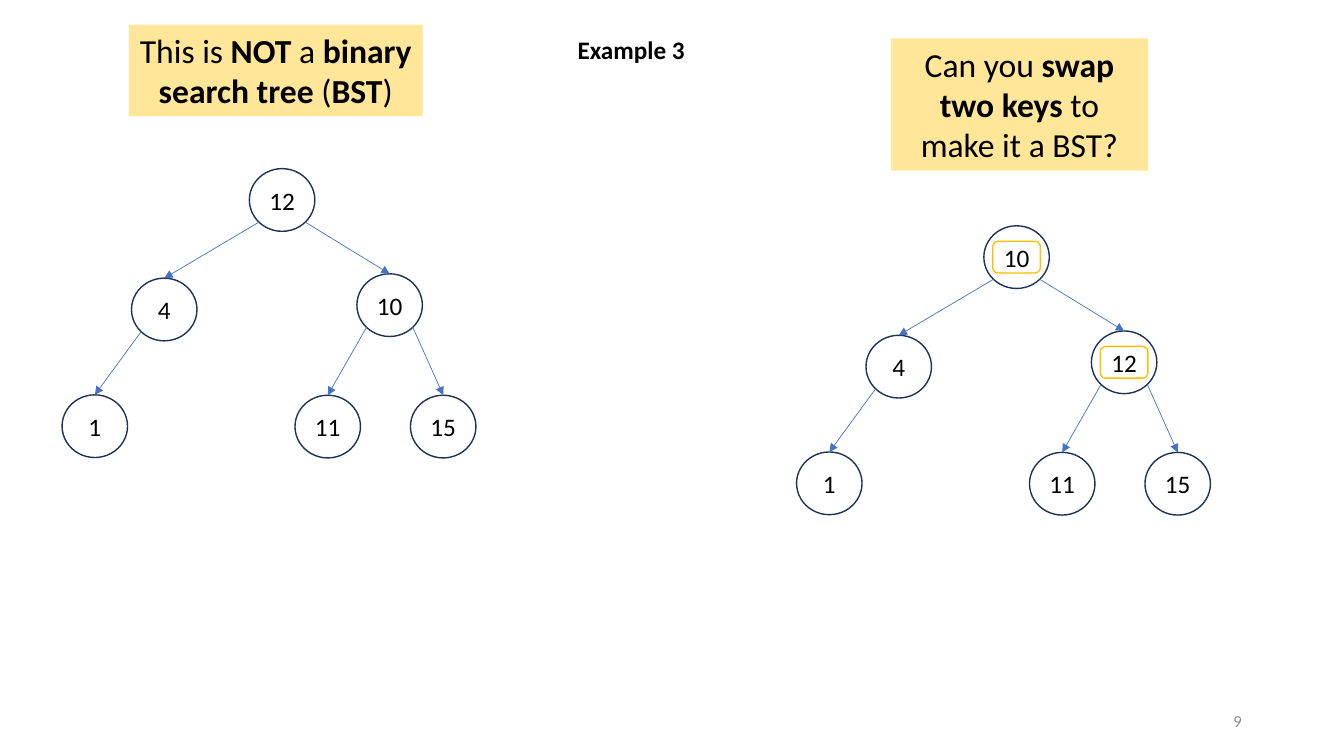
from dataclasses import dataclass
from math import sqrt

from lxml.etree import SubElement
from pptx import Presentation
from pptx.dml.color import RGBColor
from pptx.enum.shapes import MSO_CONNECTOR, MSO_SHAPE
from pptx.enum.text import MSO_ANCHOR, MSO_AUTO_SIZE, PP_ALIGN
from pptx.oxml.ns import qn
from pptx.util import Cm, Pt


@dataclass(frozen=True)
class Theme:
    font: str = "Calibri"
    text: str = "000000"
    muted: str = "8C8C8C"
    banner: str = "FFE699"
    node: str = "1E3256"
    edge: str = "4472C4"
    highlight: str = "FFC000"
    banner_size: int = 24
    body_size: int = 18
    number_size: int = 12


THEME = Theme()

# Tree shape in cm: node centres measured from the root, edges as (parent, child)
NODE_W, NODE_H = 1.65, 1.58
MARK_W, MARK_H = 1.2, 0.8
NODES = [(0, 0), (-2.97, 2.76), (2.71, 2.65),
         (-4.72, 5.7), (1.15, 5.71), (4.06, 5.71)]
EDGES = [(0, 1), (0, 2), (1, 3), (2, 4), (2, 5)]


def rgb(code):
    return RGBColor.from_string(code)


def set_text(s, *parts, size=THEME.body_size, color=THEME.text,
             align=PP_ALIGN.CENTER, anchor=MSO_ANCHOR.TOP, wrap=True, margin=None):
    """Fill one paragraph; each part is a string or a (string, bold) pair."""
    tf = s.text_frame
    tf.auto_size = MSO_AUTO_SIZE.NONE
    tf.word_wrap = wrap
    tf.vertical_anchor = anchor
    if margin is not None:
        tf.margin_left = tf.margin_right = margin
        tf.margin_top = tf.margin_bottom = margin
    p = tf.paragraphs[0]
    p.alignment = align
    for part in parts:
        text, bold = (part, False) if isinstance(part, str) else part
        r = p.add_run()
        r.text = text
        r.font.name = THEME.font
        r.font.size = Pt(size)
        r.font.bold = bold
        r.font.color.rgb = rgb(color)


def add_box(slide, kind, x, y, w, h, fill=None, line=None):
    s = slide.shapes.add_shape(kind, Cm(x), Cm(y), Cm(w), Cm(h))
    s.shadow.inherit = False
    if fill:
        s.fill.solid()
        s.fill.fore_color.rgb = rgb(fill)
    else:
        s.fill.background()
    if line:
        s.line.color.rgb = rgb(line)
        s.line.width = Pt(1)
    else:
        s.line.fill.background()
    return s


def add_centred(slide, kind, cx, cy, w, h, line):
    return add_box(slide, kind, cx - w / 2, cy - h / 2, w, h, line=line)


def add_banner(slide, x, y, w, h, *parts):
    s = add_box(slide, MSO_SHAPE.RECTANGLE, x, y, w, h, fill=THEME.banner)
    set_text(s, *parts, size=THEME.banner_size)


def add_edge(slide, parent, child):
    """Arrow from the parent's lower diagonal to the top of the child."""
    side = 1 if child.left > parent.left else -1
    x = parent.left + parent.width / 2 * (1 + side / sqrt(2))
    y = parent.top + parent.height / 2 * (1 + 1 / sqrt(2))
    c = slide.shapes.add_connector(MSO_CONNECTOR.STRAIGHT, int(x), int(y),
                                   child.left, child.top)
    c.end_connect(child, 0)
    c.line.color.rgb = rgb(THEME.edge)
    c.line.width = Pt(0.5)
    SubElement(c.line._get_or_add_ln(), qn("a:tailEnd"), type="triangle")
    SubElement(c._element.spPr, qn("a:effectLst"))


def add_tree(slide, root_x, root_y, keys, swapped=()):
    nodes = []
    for key, (dx, dy) in zip(keys, NODES):
        cx, cy = root_x + dx, root_y + dy
        node = add_centred(slide, MSO_SHAPE.OVAL, cx, cy, NODE_W, NODE_H, THEME.node)
        set_text(node, str(key), anchor=MSO_ANCHOR.MIDDLE, wrap=False, margin=0)
        nodes.append(node)
        if key in swapped:
            add_centred(slide, MSO_SHAPE.ROUNDED_RECTANGLE, cx, cy,
                        MARK_W, MARK_H, THEME.highlight)
    for parent, child in EDGES:
        add_edge(slide, nodes[parent], nodes[child])


def add_title(slide, text):
    s = slide.shapes.title
    s.left, s.top, s.width, s.height = Cm(14.3), Cm(0.74), Cm(3.23), Cm(1.02)
    set_text(s, (text, True), align=PP_ALIGN.LEFT, wrap=False)


def add_page_number(slide, number):
    s = slide.shapes.add_textbox(Cm(23.93), Cm(17.65), Cm(7.62), Cm(1.02))
    set_text(s, str(number), size=THEME.number_size, color=THEME.muted,
             align=PP_ALIGN.RIGHT, anchor=MSO_ANCHOR.MIDDLE)


def main():
    prs = Presentation()
    prs.slide_width, prs.slide_height = Cm(33.87), Cm(19.05)
    slide = prs.slides.add_slide(prs.slide_layouts[5])
    add_title(slide, "Example 3")

    # Left: the tree that breaks the search order
    add_banner(slide, 3.25, 0.62, 7.4, 2.31, "This is ", ("NOT", True), " a ",
               ("binary search tree", True), " (", ("BST", True), ")")
    add_tree(slide, 7.11, 5.04, [12, 4, 10, 1, 11, 15])

    # Right: the tree after swapping two keys
    add_banner(slide, 22.45, 0.97, 6.48, 3.33, "Can you ",
               ("swap two keys ", True), "to make it a BST?")
    add_tree(slide, 25.62, 6.48, [10, 4, 12, 1, 11, 15], swapped=(10, 12))

    add_page_number(slide, 9)
    prs.save("out.pptx")


if __name__ == "__main__":
    main()
